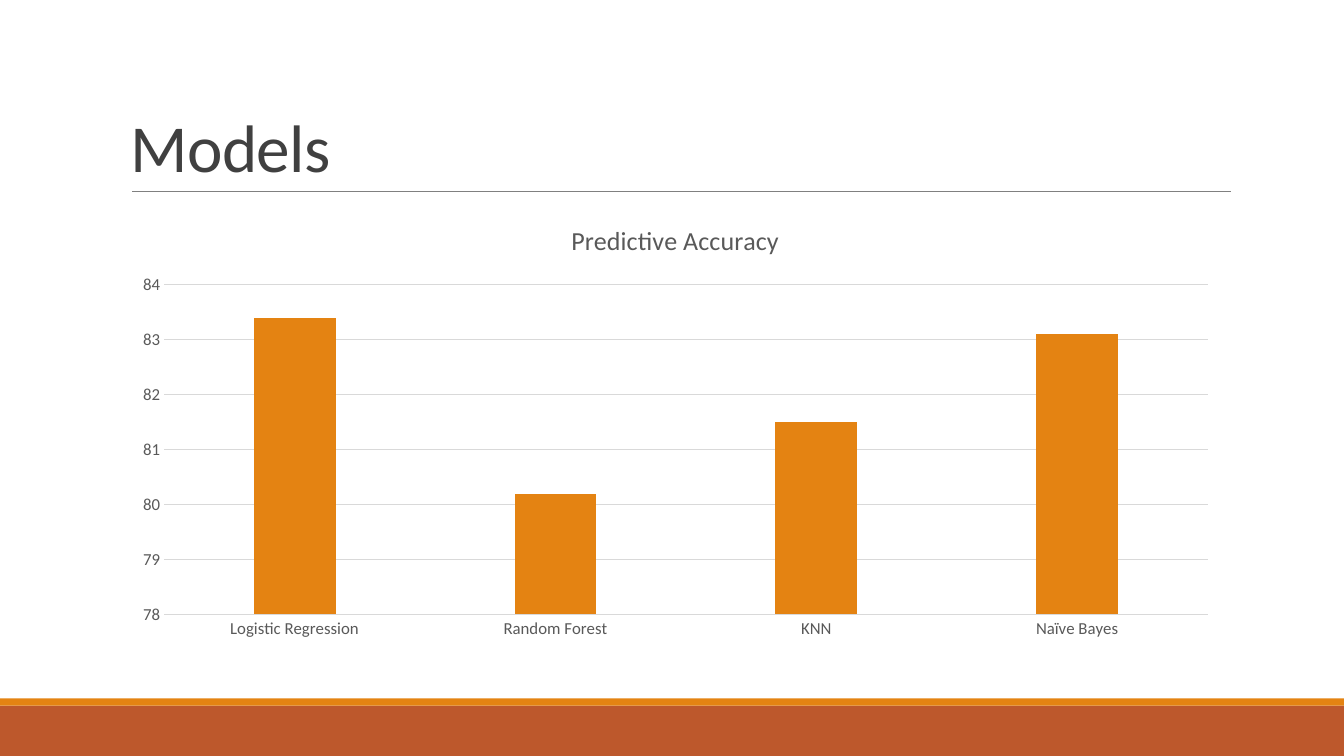
from dataclasses import dataclass

from lxml.etree import SubElement
from pptx import Presentation
from pptx.chart.data import CategoryChartData
from pptx.dml.color import RGBColor
from pptx.enum.chart import XL_CHART_TYPE, XL_TICK_MARK
from pptx.enum.shapes import MSO_CONNECTOR, MSO_SHAPE
from pptx.enum.text import MSO_ANCHOR
from pptx.oxml.ns import qn
from pptx.slide import Slide
from pptx.util import Cm, Pt

FONT = "Calibri"
COLOURS = {
    "orange": "E48312",
    "rust": "BD582C",
    "title": "404040",
    "label": "595959",
    "rule": "808080",
    "grid": "D9D9D9",
}
PAGE_WIDTH, PAGE_HEIGHT = 33.87, 19.05
LEFT, WIDTH = 3.05, 27.94
RULE_TOP = 4.83


@dataclass
class Band:
    top: float
    height: float
    colour: str


FOOTER_BANDS = [Band(17.78, 1.27, "rust"), Band(17.6, 0.18, "orange")]
ACCURACY = {
    "Logistic Regression": 83.4,
    "Random Forest": 80.2,
    "KNN": 81.5,
    "Naïve Bayes": 83.1,
}


def rgb(name: str) -> RGBColor:
    return RGBColor.from_string(COLOURS[name])


def style_font(font, size: float, colour: str) -> None:
    font.name = FONT
    font.size = Pt(size)
    font.bold = False
    font.color.rgb = rgb(colour)


def style_line(line, width: float, colour: str) -> None:
    line.width = Pt(width)
    line.color.rgb = rgb(colour)


def add_band(page: Slide, band: Band) -> None:
    shape = page.shapes.add_shape(
        MSO_SHAPE.RECTANGLE, 0, Cm(band.top), Cm(PAGE_WIDTH), Cm(band.height)
    )
    shape.shadow.inherit = False
    shape.fill.solid()
    shape.fill.fore_color.rgb = rgb(band.colour)
    shape.line.fill.background()


def add_rule(page: Slide, left: float, right: float, top: float) -> None:
    rule = page.shapes.add_connector(
        MSO_CONNECTOR.STRAIGHT, Cm(left), Cm(top), Cm(right), Cm(top)
    )
    style_line(rule.line, 0.5, "rule")
    SubElement(rule._element.spPr, qn("a:effectLst"))


def add_text(page: Slide, text: str, *, top: float, height: float, size: float,
             colour: str, line_spacing: float, tracking: float) -> None:
    """Add a bottom-anchored text box; tracking is in points."""
    box = page.shapes.add_textbox(Cm(LEFT), Cm(top), Cm(WIDTH), Cm(height))
    box.text_frame.word_wrap = True
    box.text_frame.vertical_anchor = MSO_ANCHOR.BOTTOM
    para = box.text_frame.paragraphs[0]
    para.line_spacing = line_spacing
    span = para.add_run()
    span.text = text
    style_font(span.font, size, colour)
    span._r.get_or_add_rPr().set("spc", str(round(tracking * 100)))


def add_accuracy_chart(page: Slide) -> None:
    data = CategoryChartData()
    data.categories = list(ACCURACY)
    data.add_series("Series 1", list(ACCURACY.values()))
    chart = page.shapes.add_chart(
        XL_CHART_TYPE.COLUMN_CLUSTERED,
        Cm(LEFT), Cm(5.13), Cm(WIDTH), Cm(11.18), data,
    ).chart
    style_font(chart.font, 12, "label")
    chart.has_legend = False
    chart.has_title = True
    heading = chart.chart_title.text_frame
    heading.text = "Predictive Accuracy"
    style_font(heading.paragraphs[0].runs[0].font, 18.6, "label")
    chart.chart_title.include_in_layout = False

    plot = chart.plots[0]
    plot.vary_by_categories = False
    plot.gap_width = 219
    plot.overlap = -27
    fill = plot.series[0].format.fill
    fill.solid()
    fill.fore_color.rgb = rgb("orange")

    for axis in (chart.category_axis, chart.value_axis):
        axis.major_tick_mark = XL_TICK_MARK.NONE
        axis.minor_tick_mark = XL_TICK_MARK.NONE
        style_font(axis.tick_labels.font, 12, "label")
    style_line(chart.category_axis.format.line, 0.75, "grid")

    scale = chart.value_axis
    scale.minimum_scale, scale.maximum_scale, scale.major_unit = 78, 84, 1
    scale.tick_labels.number_format = "General"
    scale.tick_labels.number_format_is_linked = False
    scale.format.line.fill.background()
    style_line(scale.major_gridlines.format.line, 0.75, "grid")


def main() -> None:
    deck = Presentation()
    deck.slide_width, deck.slide_height = Cm(PAGE_WIDTH), Cm(PAGE_HEIGHT)
    page = deck.slides.add_slide(deck.slide_layouts[6])
    for band in FOOTER_BANDS:
        add_band(page, band)
    add_rule(page, 3.33, 31.01, RULE_TOP)
    add_text(page, "Models", top=0.79, height=RULE_TOP - 0.79, size=48,
             colour="title", line_spacing=0.85, tracking=-0.5)
    add_accuracy_chart(page)
    deck.save("out.pptx")


if __name__ == "__main__":
    main()
